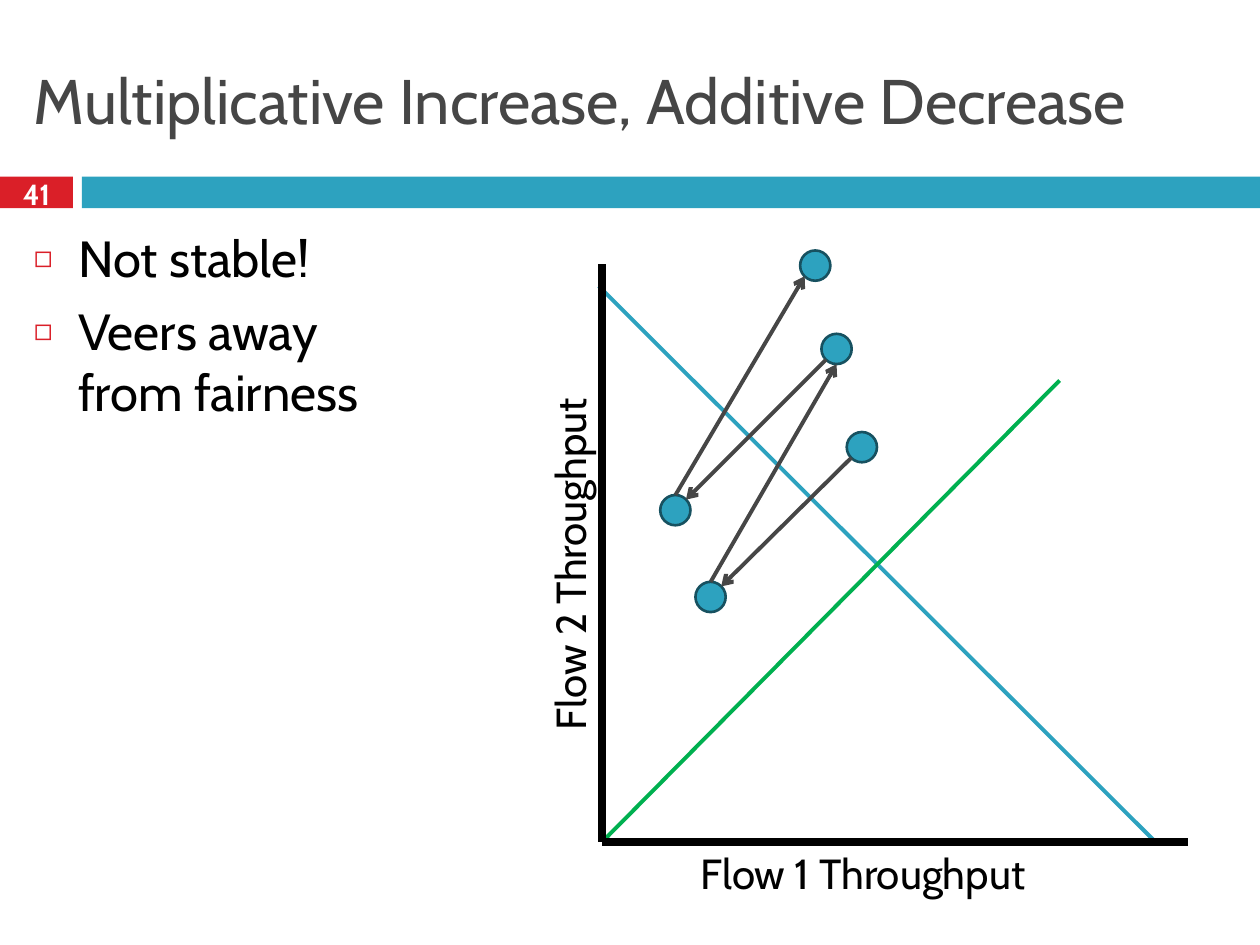
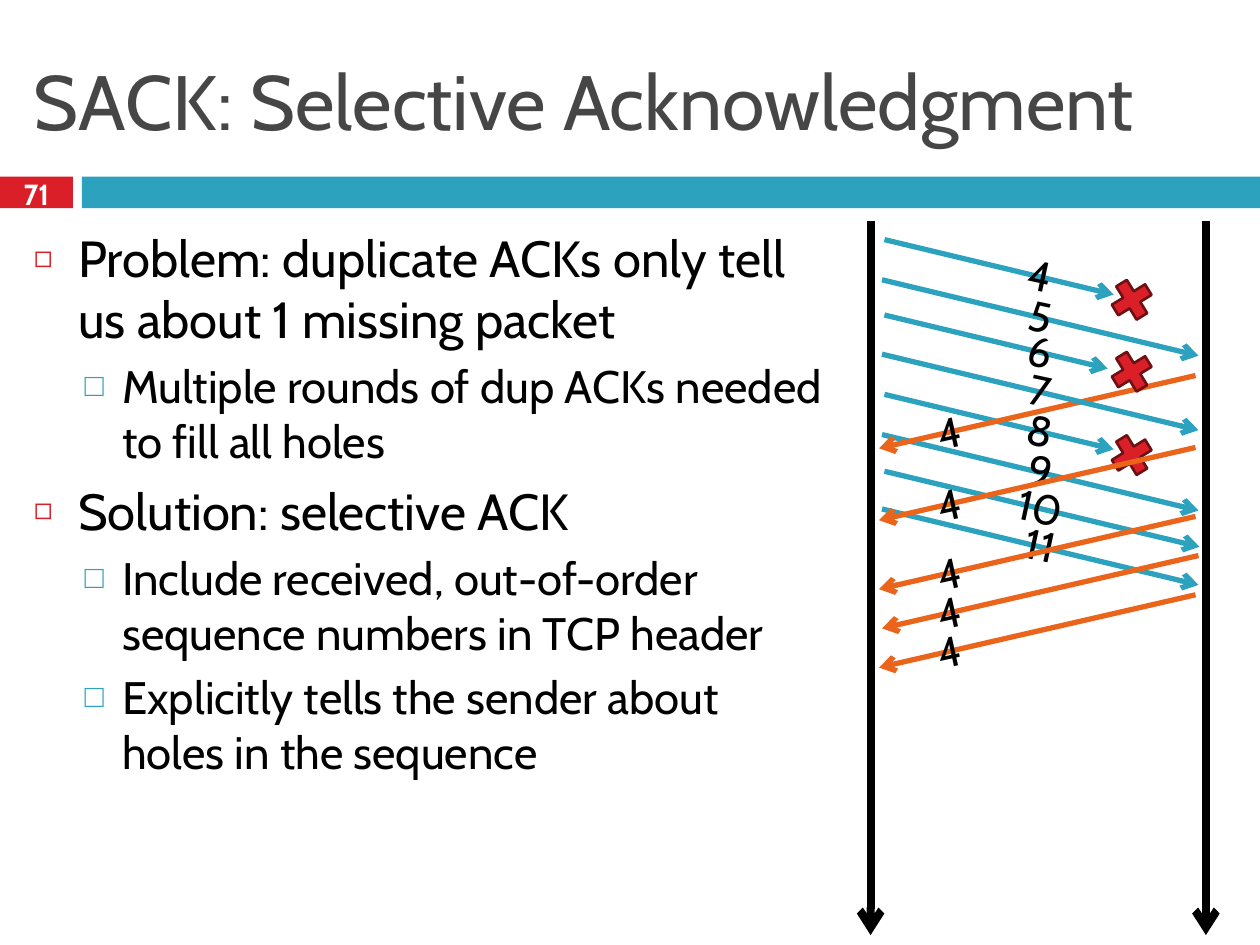
from lxml.etree import SubElement
from pptx import Presentation
from pptx.dml.color import RGBColor
from pptx.enum.shapes import MSO_CONNECTOR, MSO_SHAPE as Preset
from pptx.enum.text import MSO_ANCHOR as Anchor, MSO_AUTO_SIZE as AutoSize, PP_ALIGN as Align
from pptx.oxml.ns import qn
from pptx.util import Cm, Pt

FONT = "Cabin"
BLACK = RGBColor(0x00, 0x00, 0x00)
WHITE = RGBColor(0xFF, 0xFF, 0xFF)
GRAY = RGBColor(0x46, 0x46, 0x46)
TEAL = RGBColor(0x2D, 0xA2, 0xBF)
DARK_TEAL = RGBColor(0x17, 0x51, 0x60)
RED = RGBColor(0xDA, 0x1F, 0x28)
DARK_RED = RGBColor(0x6D, 0x10, 0x14)
ORANGE = RGBColor(0xEB, 0x64, 0x1B)
GREEN = RGBColor(0x00, 0xB0, 0x50)

# Per list level: text size, space before, indent, hanging, bullet, bullet colour, bullet size
LEVELS = [
    (29, 7, 0.89, 0.89, "◻", RED, "60000"),
    (26, 5.5, 1.78, 0.76, "□", TEAL, "70000"),
]


def write(para, text, size=24, color=BLACK, bold=False, align=Align.LEFT):
    para.alignment = align
    span = para.add_run()
    span.text = text
    span.font.name = FONT
    span.font.size = Pt(size)
    span.font.bold = bold
    span.font.color.rgb = color


def draw_line(page, x1, y1, x2, y2, color, width, arrow=False):
    line = page.shapes.add_connector(MSO_CONNECTOR.STRAIGHT, Cm(x1), Cm(y1), Cm(x2), Cm(y2))
    line.line.color.rgb = color
    line.line.width = Pt(width)
    outline = line.element.spPr.find(qn("a:ln"))
    if arrow:
        SubElement(outline, qn("a:tailEnd"), type="arrow")
    SubElement(line.element.spPr, qn("a:effectLst"))


deck = Presentation()
deck.slide_width, deck.slide_height = Cm(25.4), Cm(19.05)
layout = deck.slide_layouts[1]

# Title, title size, slide number, list width, list of (level, text)
contents = [
    ("Multiplicative Increase, Additive Decrease", 36, "41", 8.48, [
        (0, "Not stable!"),
        (0, "Veers away from fairness"),
    ]),
    ("SACK: Selective Acknowledgment", 44, "71", 16.43, [
        (0, "Problem: duplicate ACKs only tell us about 1 missing packet"),
        (1, "Multiple rounds of dup ACKs needed to fill all holes"),
        (0, "Solution: selective ACK"),
        (1, "Include received, out-of-order sequence numbers in TCP header"),
        (1, "Explicitly tells the sender about holes in the sequence"),
    ]),
]
pages = [deck.slides.add_slide(layout) for content in contents]
fairness, sack = pages

# Shared bands, moved into the layout
for left, width, color in [(0, 1.47, RED), (1.65, 23.75, TEAL)]:
    band = fairness.shapes.add_shape(Preset.RECTANGLE, Cm(left), Cm(3.56), Cm(width), Cm(0.64))
    band.shadow.inherit = False
    band.fill.solid()
    band.fill.fore_color.rgb = color
    band.line.fill.background()
    layout.shapes.element.insert(2, band.element)

# Titles, slide numbers and lists
for page, (heading, heading_size, number, list_width, items) in zip(pages, contents):
    title = page.shapes.title
    title.left, title.top, title.width, title.height = Cm(0.43), Cm(0.64), Cm(24.56), Cm(2.74)
    title.text_frame.auto_size = AutoSize.NONE
    title.text_frame.vertical_anchor = Anchor.MIDDLE
    write(title.text_frame.paragraphs[0], heading, size=heading_size, color=GRAY)

    box = page.shapes.add_textbox(0, Cm(3.48), Cm(1.47), Cm(0.84))
    box.text_frame.word_wrap = True
    box.text_frame.vertical_anchor = Anchor.MIDDLE
    write(box.text_frame.paragraphs[0], number, size=16.6, color=WHITE, bold=True,
          align=Align.CENTER)

    body = page.placeholders[1]
    body.left, body.top, body.width, body.height = Cm(0.43), Cm(4.45), Cm(list_width), Cm(14.17)
    body.text_frame.auto_size = AutoSize.NONE
    for index, (level, text) in enumerate(items):
        size, before, indent, hanging, bullet, bullet_color, bullet_size = LEVELS[level]
        para = body.text_frame.add_paragraph() if index else body.text_frame.paragraphs[0]
        para.level = level
        props = para._p.get_or_add_pPr()
        props.set("marL", str(Cm(indent)))
        props.set("indent", str(-Cm(hanging)))
        SubElement(SubElement(props, qn("a:buClr")), qn("a:srgbClr"), val=str(bullet_color))
        SubElement(props, qn("a:buSzPct"), val=bullet_size)
        SubElement(props, qn("a:buChar"), char=bullet)
        para.space_before = Pt(before if index else 0)
        write(para, text, size=size)

# Fairness plot: axis labels
for text, left, top, rotation in [("Flow 1 Throughput", 13.87, 16.97, 0),
                                  ("Flow 2 Throughput", 7.67, 10.52, 270)]:
    label = fairness.shapes.add_textbox(Cm(left), Cm(top), Cm(7.62), Cm(1.27))
    label.rotation = rotation
    label.text_frame.word_wrap = True
    write(label.text_frame.paragraphs[0], text)

# Fairness plot: efficiency line, fairness line and axes
origin_x, origin_y = 12.14, 16.97
draw_line(fairness, 12.07, 5.77, 23.29, origin_y, TEAL, 2.25)
draw_line(fairness, origin_x, origin_y, 21.36, 7.67, GREEN, 2.25)
draw_line(fairness, origin_x, origin_y, 23.95, origin_y, BLACK, 4.5)
draw_line(fairness, origin_x, origin_y, origin_x, 5.33, BLACK, 4.5)

# Fairness plot: successive states, in order
DIAMETER = 0.61
states = [(17.07, 8.71), (14.02, 11.73), (16.56, 6.73), (13.31, 9.98), (16.13, 5.05)]
for left, top in states:
    state = fairness.shapes.add_shape(Preset.OVAL, Cm(left), Cm(top), Cm(DIAMETER), Cm(DIAMETER))
    state.shadow.inherit = False
    state.fill.solid()
    state.fill.fore_color.rgb = TEAL
    state.line.color.rgb = DARK_TEAL
    state.line.width = Pt(1.5)

# Arrow ends as fractions of the circle's box
TOP, BOTTOM, TOP_RIGHT, BOTTOM_LEFT = (0.5, 0), (0.5, 1), (0.85, 0.15), (0.15, 0.85)
steps = [(BOTTOM_LEFT, TOP_RIGHT), (TOP, BOTTOM), (BOTTOM_LEFT, TOP_RIGHT), (TOP, BOTTOM_LEFT)]
for (x1, y1), (x2, y2), (begin, end) in zip(states, states[1:], steps):
    draw_line(fairness, x1 + DIAMETER * begin[0], y1 + DIAMETER * begin[1],
              x2 + DIAMETER * end[0], y2 + DIAMETER * end[1], GRAY, 2.25, arrow=True)

# Sequence diagram: sender and receiver timelines
for x in (17.55, 24.31):
    draw_line(sack, x, 4.45, x, 18.85, BLACK, 4.5, arrow=True)

# Label, start x, start y, run (negative for ACKs), top of the loss cross
messages = [
    ("8", 17.83, 7.95, 4.62, 8.64),
    ("9", 17.78, 8.76, 6.38, None),
    ("10", 17.83, 9.5, 6.35, None),
    ("11", 17.78, 10.26, 6.38, None),
    ("4", 24.1, 7.57, -6.38, None),
    ("4", 17.83, 4.83, 4.62, 5.51),
    ("5", 17.78, 5.64, 6.38, None),
    ("6", 17.83, 6.35, 4.5, 6.96),
    ("7", 17.78, 7.14, 6.38, None),
    ("4", 24.1, 9.02, -6.38, None),
    ("4", 24.1, 10.41, -6.38, None),
    ("4", 24.16, 11.2, -6.38, None),
    ("4", 24.1, 11.99, -6.38, None),
]
for text, x, y, run, cross_top in messages:
    if run > 0:
        color, slope, label_left, label_drop, rotation = TEAL, 0.24, 19.57, 0.08, 12.3
    else:
        color, slope, label_left, label_drop, rotation = ORANGE, -0.23, 17.73, 0.5, 347.5
    draw_line(sack, x, y, x + run, y + run * slope, color, 3, arrow=True)
    label = sack.shapes.add_textbox(Cm(label_left), Cm(y + label_drop), Cm(2.82), Cm(1.27))
    label.rotation = rotation
    label.text_frame.word_wrap = True
    write(label.text_frame.paragraphs[0], text, align=Align.CENTER)
    if cross_top:
        cross = sack.shapes.add_shape(Preset.MATH_MULTIPLY, Cm(22.28), Cm(cross_top),
                                      Cm(1.07), Cm(1.07))
        cross.rotation = 13.5
        cross.shadow.inherit = False
        cross.fill.solid()
        cross.fill.fore_color.rgb = RED
        cross.line.color.rgb = DARK_RED
        cross.line.width = Pt(1.5)

deck.save("out.pptx")
